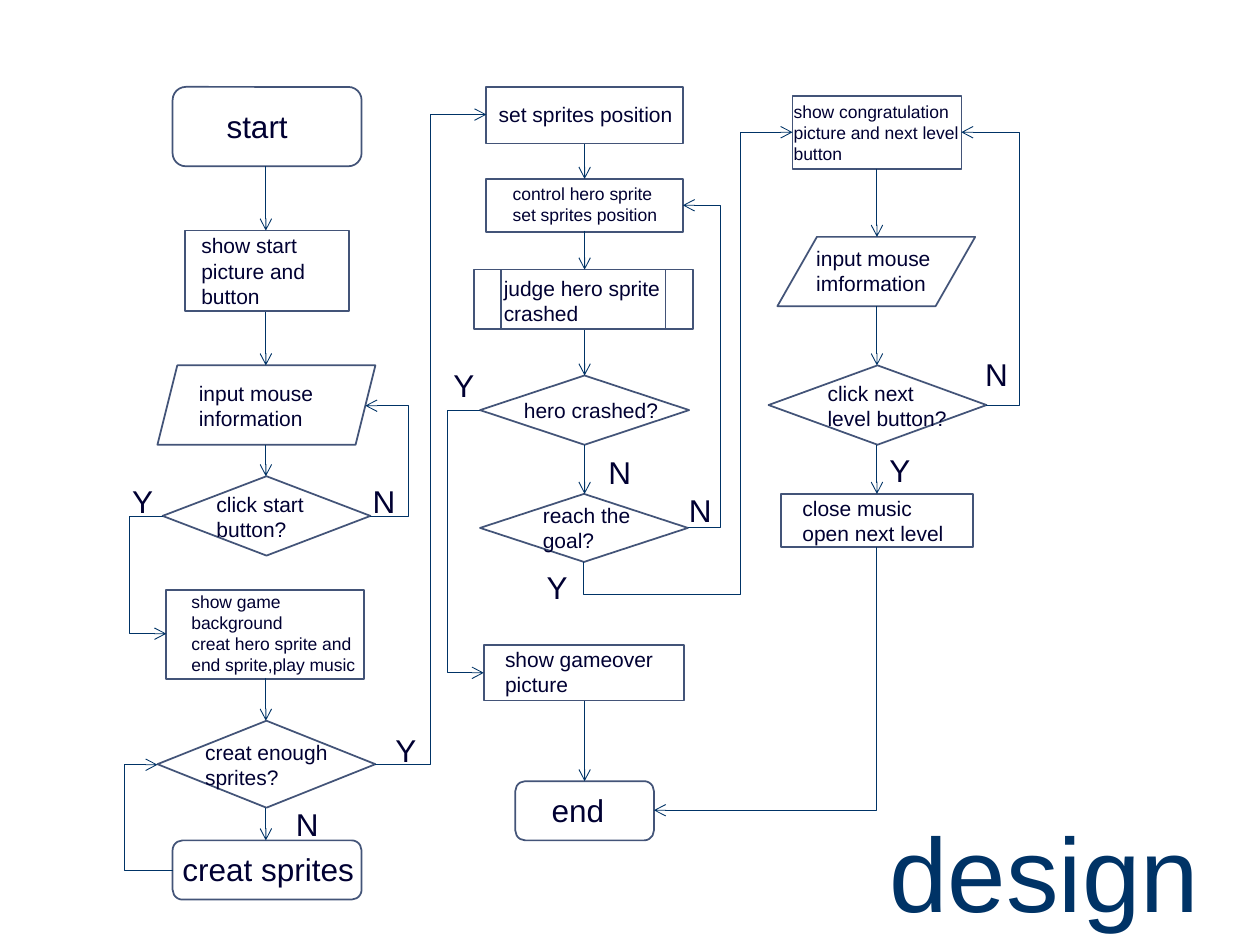
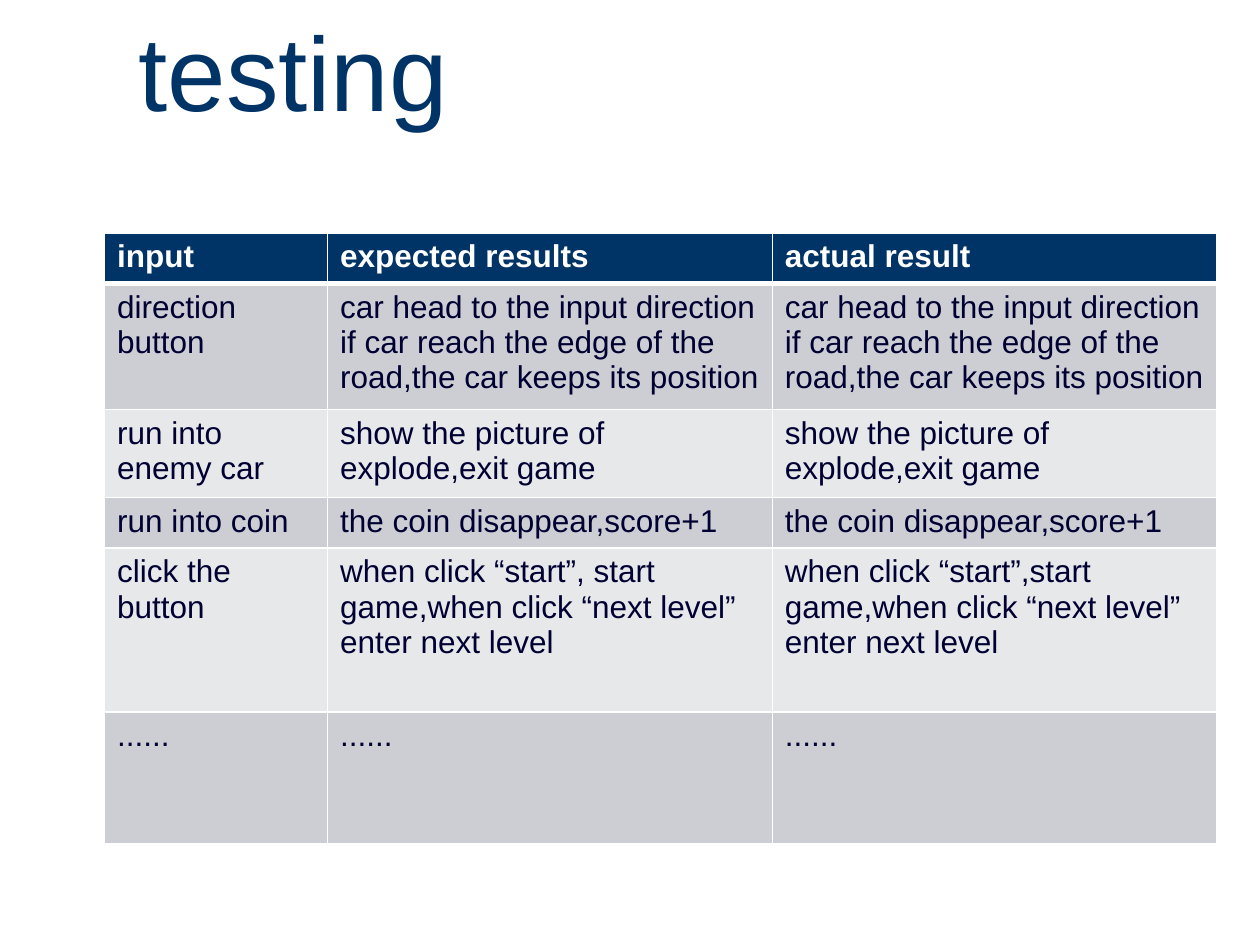
import dataclasses
import lxml.etree
import pptx
import pptx.dml.color
import pptx.enum.shapes
import pptx.enum.text
import pptx.oxml.ns
import pptx.util

Inches = pptx.util.Inches
Pt = pptx.util.Pt
qn = pptx.oxml.ns.qn
Color = pptx.dml.color.RGBColor.from_string
Shape = pptx.enum.shapes.MSO_SHAPE
Connector = pptx.enum.shapes.MSO_CONNECTOR


@dataclasses.dataclass(frozen=True)
class Theme:
    font: str = "Arial"
    navy: str = "003366"
    ink: str = "000032"
    outline: str = "435478"
    white: str = "FFFFFF"
    bands: tuple = ("CCCED3", "E7E8EA")
    title: int = 60
    large: int = 18
    medium: int = 12
    small: int = 10


theme = Theme()


def write(frame, lines, size, color, bold=False):
    frame.word_wrap = True
    for index, line in enumerate(lines.split("\n")):
        para = frame.paragraphs[0] if index == 0 else frame.add_paragraph()
        para.alignment = pptx.enum.text.PP_ALIGN.LEFT
        span = para.add_run()
        span.text = line
        span.font.name = theme.font
        span.font.size = Pt(size)
        span.font.bold = bold
        span.font.color.rgb = Color(color)


def connect(page, points):
    begin, end = points[0], points[-1]
    bends = len(points) - 1
    turned = bends > 1 and begin[0] == points[1][0]
    axis = 1 if turned else 0
    start, stop = begin, end
    if turned:
        middle_x, middle_y = (begin[0] + end[0]) / 2, (begin[1] + end[1]) / 2
        start, stop = [(middle_x + y - middle_y, middle_y - x + middle_x) for x, y in (begin, end)]
    kind = Connector.STRAIGHT if bends == 1 else Connector.ELBOW
    arrow = page.shapes.add_connector(kind, *[Inches(value) for value in (*start, *stop)])
    arrow.line.color.rgb = Color(theme.navy)
    arrow.line.width = Pt(0.5)
    properties = arrow.element.spPr
    lxml.etree.SubElement(properties.find(qn("a:ln")), qn("a:tailEnd"), type="arrow")
    lxml.etree.SubElement(properties, qn("a:effectLst"))
    if turned:
        properties.find(qn("a:xfrm")).set("rot", "5400000")
    if bends > 1:
        geometry = properties.find(qn("a:prstGeom"))
        geometry.set("prst", f"bentConnector{bends}")
        for number, point in enumerate(points[1:-2], 1):
            share = (point[axis] - begin[axis]) / (end[axis] - begin[axis])
            lxml.etree.SubElement(geometry.find(qn("a:avLst")), qn("a:gd"),
                                  name=f"adj{number}", fmla=f"val {round(share * 100000)}")
            axis = 1 - axis


deck = pptx.Presentation()
deck.slide_width, deck.slide_height = Inches(10), Inches(7.5)

pages = []
for heading, place in (("design", (6.96, 6.51, 3.13, 0.79)), ("testing", (1, 0.16, 9, 0.79))):
    page = deck.slides.add_slide(deck.slide_layouts[5])
    title = page.shapes.title
    title.left, title.top, title.width, title.height = [Inches(value) for value in place]
    title.text_frame.auto_size = pptx.enum.text.MSO_AUTO_SIZE.NONE
    title.text_frame.vertical_anchor = pptx.enum.text.MSO_ANCHOR.MIDDLE
    write(title.text_frame, heading, theme.title, theme.navy)
    pages.append(page)
design, testing = pages

steps = [
    (Shape.FLOWCHART_ALTERNATE_PROCESS, 1.37, 0.69, 1.5, 0.63),
    (Shape.RECTANGLE, 1.47, 1.83, 1.3, 0.64),
    (Shape.PARALLELOGRAM, 1.25, 2.9, 1.73, 0.63),
    (Shape.DIAMOND, 1.29, 3.78, 1.65, 0.63),
    (Shape.FLOWCHART_PROCESS, 1.32, 4.68, 1.57, 0.71),
    (Shape.DIAMOND, 1.25, 5.72, 1.73, 0.69),
    (Shape.ROUNDED_RECTANGLE, 1.37, 6.67, 1.5, 0.47),
    (Shape.RECTANGLE, 3.86, 0.69, 1.56, 0.45),
    (Shape.RECTANGLE, 3.86, 1.42, 1.56, 0.42),
    (Shape.FLOWCHART_PREDEFINED_PROCESS, 3.76, 2.14, 1.74, 0.47),
    (Shape.DIAMOND, 3.81, 2.98, 1.66, 0.55),
    (Shape.DIAMOND, 3.81, 3.92, 1.65, 0.54),
    (Shape.FLOWCHART_PROCESS, 3.84, 5.12, 1.59, 0.44),
    (Shape.FLOWCHART_ALTERNATE_PROCESS, 4.09, 6.2, 1.1, 0.47),
    (Shape.FLOWCHART_PROCESS, 6.29, 0.76, 1.34, 0.58),
    (Shape.FLOWCHART_DATA, 6.17, 1.88, 1.57, 0.55),
    (Shape.FLOWCHART_DECISION, 6.1, 2.9, 1.73, 0.63),
    (Shape.RECTANGLE, 6.2, 3.92, 1.52, 0.42),
]
for kind, *place in steps:
    step = design.shapes.add_shape(kind, *[Inches(value) for value in place])
    step.shadow.inherit = False
    step.fill.solid()
    step.fill.fore_color.rgb = Color(theme.white)
    step.line.color.rgb = Color(theme.outline)
    step.line.width = Pt(1)

down_arrows = {
    2.11: [(1.32, 1.83), (2.48, 2.9), (3.53, 3.78), (5.38, 5.72), (6.41, 6.67)],
    4.64: [(1.14, 1.42), (1.83, 2.14), (2.62, 2.98), (3.53, 3.92), (5.56, 6.2)],
    6.96: [(1.34, 1.88), (2.43, 2.9), (3.53, 3.92)],
}
for center, spans in down_arrows.items():
    for top, bottom in spans:
        connect(design, [(center, top), (center, bottom)])

side_arrows = [
    ((1.29, 4.1), 1.03, (1.32, 5.03)),
    ((2.94, 4.1), 3.24, (2.9, 3.22)),
    ((1.37, 6.91), 0.99, (1.25, 6.07)),
    ((2.98, 6.07), 3.42, (3.86, 0.91)),
    ((3.81, 3.26), 3.55, (3.84, 5.34)),
    ((5.46, 4.19), 5.72, (5.42, 1.63)),
    ((7.83, 3.22), 8.09, (7.63, 1.05)),
]
for begin, lane, end in side_arrows:
    connect(design, [begin, (lane, begin[1]), (lane, end[1]), end])
connect(design, [(4.63, 4.46), (4.63, 4.72), (5.88, 4.72), (5.88, 1.05), (6.29, 1.05)])
connect(design, [(6.96, 4.34), (6.96, 6.43), (5.19, 6.43)])

labels = {
    theme.large: [
        ("start", 1.7, 0.8, 0.83, 0.4),
        ("creat sprites", 1.35, 6.7, 1.7, 0.4),
        ("end", 4.28, 6.23, 0.71, 0.4),
        ("Y", 0.95, 3.78, 0.55, 0.4),
        ("N", 2.86, 3.78, 0.4, 0.4),
        ("Y", 3.04, 5.75, 0.4, 0.4),
        ("N", 2.25, 6.34, 0.4, 0.4),
        ("Y", 3.5, 2.86, 0.47, 0.4),
        ("N", 4.73, 3.55, 0.65, 0.4),
        ("N", 5.37, 3.85, 0.4, 0.4),
        ("Y", 4.24, 4.46, 0.4, 0.4),
        ("N", 7.72, 2.77, 0.4, 0.4),
        ("Y", 6.96, 3.53, 0.98, 0.4),
    ],
    theme.medium: [
        ("show start picture and button", 1.5, 1.8, 1.4, 0.71),
        ("input mouse information", 1.48, 2.97, 1.44, 0.5),
        ("click start button?", 1.62, 3.85, 1.16, 0.5),
        ("creat enough sprites?", 1.53, 5.82, 1.37, 0.5),
        ("set sprites position", 3.86, 0.76, 2.02, 0.3),
        ("judge hero sprite crashed", 3.9, 2.14, 1.47, 0.5),
        ("hero crashed?", 4.06, 3.11, 1.32, 0.3),
        ("reach the goal?", 4.21, 3.94, 1.05, 0.5),
        ("show gameover picture", 3.91, 5.08, 1.45, 0.5),
        ("input mouse imformation", 6.38, 1.9, 1.44, 0.5),
        ("click next level button?", 6.47, 2.97, 1.16, 0.5),
        ("close music\nopen next level", 6.27, 3.88, 1.45, 0.5),
    ],
    theme.small: [
        ("show game background\ncreat hero sprite and end sprite,play music", 1.42, 4.64, 1.52, 0.77),
        ("control hero sprite\nset sprites position", 3.97, 1.4, 1.54, 0.44),
        ("show congratulation picture and next level button", 6.2, 0.75, 1.79, 0.6),
    ],
}
for size, entries in labels.items():
    for words, *place in entries:
        box = design.shapes.add_textbox(*[Inches(value) for value in place])
        write(box.text_frame, words, size, theme.ink)

steering = "car head to the input direction if car reach the edge of the road,the car keeps its position"
explosion = "show the picture of explode,exit game"
coin = "the coin disappear,score+1"
cases = [
    (0.4, "input", "expected results", "actual result"),
    (1, "direction button", steering, steering),
    (0.7, "run into enemy car", explosion, explosion),
    (0.4, "run into coin", coin, coin),
    (1.3, "click the button",
     "when click “start”, start game,when click “next level” enter next level",
     "when click “start”,start game,when click “next level” enter next level"),
    (1.05, "......", "......", "......"),
]
grid = testing.shapes.add_table(len(cases), 3, Inches(0.83), Inches(1.85), Inches(8.83), Inches(4.85)).table
for column, width in zip(grid.columns, (1.77, 3.53, 3.53)):
    column.width = Inches(width)
for row, (height, *texts) in enumerate(cases):
    grid.rows[row].height = Inches(height)
    header = row == 0
    for column, words in enumerate(texts):
        cell = grid.cell(row, column)
        write(cell.text_frame, words, theme.large, theme.white if header else theme.ink, header)
        properties = cell._tc.get_or_add_tcPr()
        for side in ("lnL", "lnR", "lnT", "lnB"):
            thick = (row, side) in ((0, "lnB"), (1, "lnT"))
            border = lxml.etree.SubElement(properties, qn(f"a:{side}"), w=str(Pt(3 if thick else 1)))
            paint = lxml.etree.SubElement(border, qn("a:solidFill"))
            lxml.etree.SubElement(paint, qn("a:srgbClr"), val=theme.white)
        cell.fill.solid()
        cell.fill.fore_color.rgb = Color(theme.navy if header else theme.bands[(row - 1) % 2])

deck.save("out.pptx")
